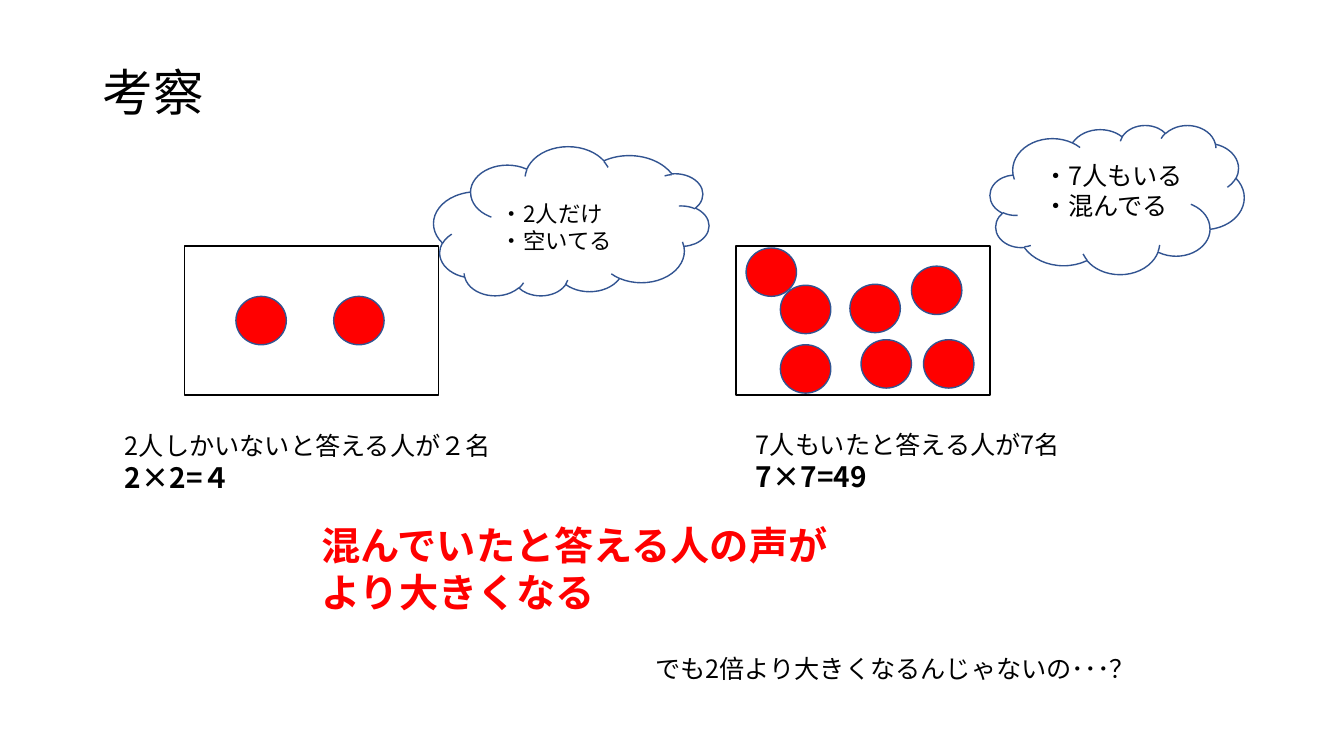
from lxml import etree
from pptx import Presentation
from pptx.dml.color import RGBColor
from pptx.enum.shapes import MSO_SHAPE
from pptx.enum.text import MSO_ANCHOR, MSO_AUTO_SIZE, PP_ALIGN
from pptx.oxml.ns import qn
from pptx.util import Emu, Pt

EMU_PER_PX = 9144  # 100 px to the inch
FONT = "Noto Sans CJK JP"
COLORS = {"ink": "000000", "paper": "FFFFFF", "red": "FF0000", "outline": "325491"}

ROOM_SIZE = (252, 148)
PERSON_SIZE = (50, 48)
QUIET_PEOPLE = [(234, 294), (331, 294)]
BUSY_PEOPLE = [(774, 283), (740, 246), (916, 337), (904, 264),
               (843, 282), (774, 342), (854, 337)]


def px(*lengths):
    return [Emu(length * EMU_PER_PX) for length in lengths]


def color(name):
    return RGBColor.from_string(COLORS[name])


def write(paragraph, text, size=18, bold=False, ink="ink"):
    """Add one formatted run, using the same face for Latin and Japanese."""
    run = paragraph.add_run()
    run.text = text
    font = run.font
    font.size, font.bold, font.name = Pt(size), bold, FONT
    font.color.rgb = color(ink)
    east_asian = etree.SubElement(run._r.get_or_add_rPr(), qn("a:ea"))
    east_asian.set("typeface", FONT)


def add_title(slide, text):
    title = slide.shapes.title
    title.left, title.top, title.width, title.height = px(92, 32, 1150, 124)
    title.text_frame.vertical_anchor = MSO_ANCHOR.MIDDLE
    heading = title.text_frame.paragraphs[0]
    heading.alignment = PP_ALIGN.LEFT
    heading.line_spacing = 0.9
    write(heading, text, size=36)


def add_figure(slide, kind, position, size, fill=None, line="outline", rotation=0):
    figure = slide.shapes.add_shape(kind, *px(*position, *size))
    figure.shadow.inherit = False
    figure.rotation = rotation
    if fill:
        figure.fill.solid()
        figure.fill.fore_color.rgb = color(fill)
    else:
        figure.fill.background()
    figure.line.color.rgb = color(line)
    figure.line.width = Pt(1)


def add_room(slide, position, people, fill=None):
    add_figure(slide, MSO_SHAPE.RECTANGLE, position, ROOM_SIZE, fill, "ink")
    for person in people:
        add_figure(slide, MSO_SHAPE.OVAL, person, PERSON_SIZE, "red")


def add_note(slide, box, *lines):
    """Each line is a text and a dict of its format."""
    frame = slide.shapes.add_textbox(*px(*box)).text_frame
    frame.word_wrap = True
    frame.auto_size = MSO_AUTO_SIZE.SHAPE_TO_FIT_TEXT
    for index, (text, style) in enumerate(lines):
        paragraph = frame.add_paragraph() if index else frame.paragraphs[0]
        write(paragraph, text, **style)


def main():
    deck = Presentation()
    deck.slide_width, deck.slide_height = px(1333, 750)
    slide = deck.slides.add_slide(deck.slide_layouts[5])
    add_title(slide, "考察")

    thought = {"size": 16}
    body = {"size": 18}
    product = {"size": 20, "bold": True}

    # Quiet room: two people
    add_room(slide, (183, 244), QUIET_PEOPLE, fill="paper")
    add_figure(slide, MSO_SHAPE.CLOUD, (430, 146), (273, 148), rotation=180)
    add_note(slide, (487, 194, 189, 64),
             ("・2人だけ", thought), ("・空いてる", thought))
    add_note(slide, (114, 422, 391, 74),
             ("2人しかいないと答える人が２名", body), ("2×2=４", product))

    # Busy room: seven people
    add_room(slide, (730, 244), BUSY_PEOPLE)
    add_figure(slide, MSO_SHAPE.CLOUD, (982, 124), ROOM_SIZE)
    add_note(slide, (1025, 154, 174, 71),
             ("・7人もいる", body), ("・混んでる", body))
    add_note(slide, (740, 421, 323, 74),
             ("7人もいたと答える人が7名", body), ("7×7=49", product))

    # Conclusion and remaining question
    add_note(slide, (309, 512, 539, 104),
             ("混んでいたと答える人の声がより大きくなる",
              {"size": 28, "bold": True, "ink": "red"}))
    add_note(slide, (640, 643, 512, 40),
             ("でも2倍より大きくなるんじゃないの･･･？", body))

    deck.save("out.pptx")


if __name__ == "__main__":
    main()
